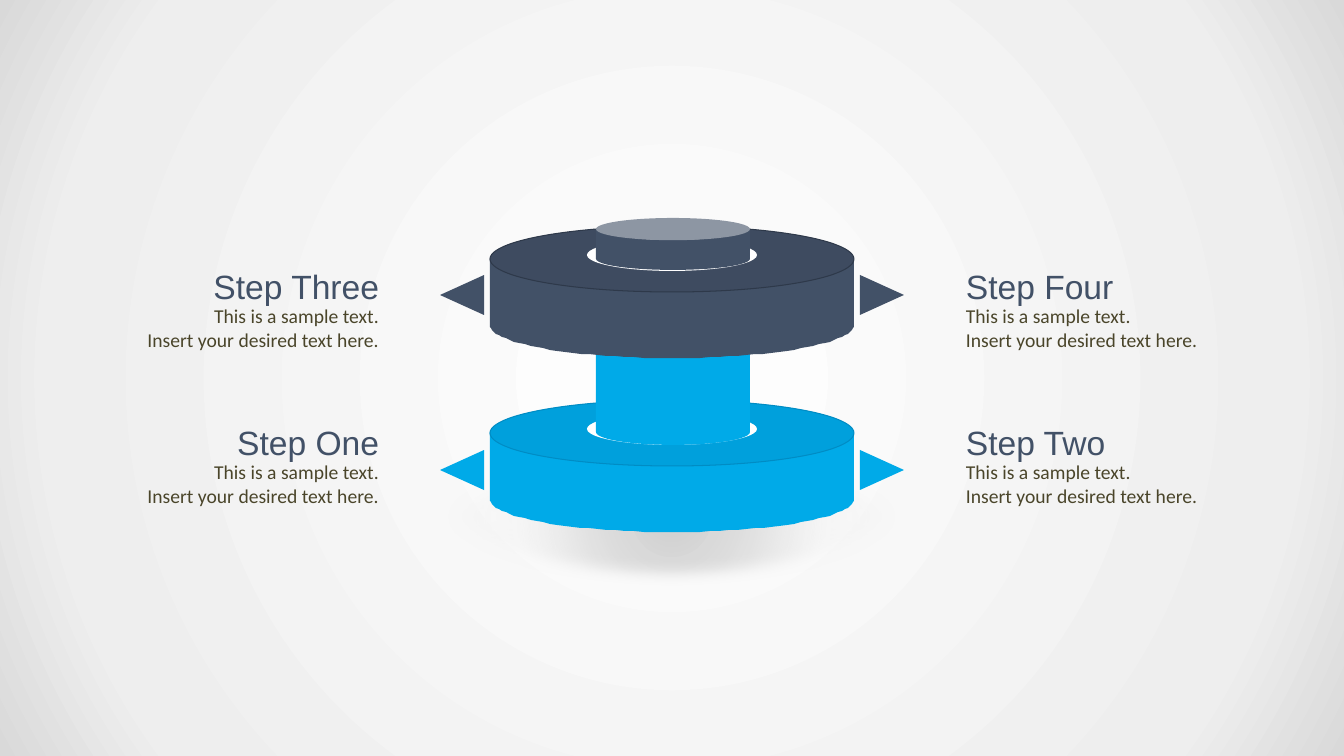
from math import cos, pi, sin

from lxml.etree import SubElement
from pptx import Presentation
from pptx.dml.color import RGBColor
from pptx.enum.shapes import MSO_SHAPE
from pptx.enum.text import PP_ALIGN
from pptx.oxml.ns import qn
from pptx.util import Pt

SCALE = 9071  # EMU per pixel, 100.8 pixels to the inch
WIDTH, HEIGHT = 1344, 756
CENTER_X = 672

NAVY = RGBColor(0x42, 0x51, 0x67)
NAVY_TOP = RGBColor(0x3E, 0x4B, 0x60)
NAVY_RIM = RGBColor(0x2E, 0x39, 0x4A)
BLUE = RGBColor(0x00, 0xAA, 0xE8)
BLUE_TOP = RGBColor(0x00, 0xA0, 0xDC)
BLUE_RIM = RGBColor(0x00, 0x8C, 0xC4)
BROWN = RGBColor(0x4A, 0x45, 0x2A)
WHITE = RGBColor(0xFF, 0xFF, 0xFF)

# Content: title, side, title top
SAMPLE = ["This is a sample text.", "Insert your desired text here."]
STEPS = [
    ("Step One", "left", 417),
    ("Step Two", "right", 417),
    ("Step Three", "left", 261),
    ("Step Four", "right", 261),
]

# Tiers from bottom to top: disc top centre, arrow centre, post (top, height, curve), colours
TIERS = [
    (433, 470, (331, 114, 0.225), BLUE, BLUE_TOP, BLUE_RIM),
    (259, 295, (218, 52, 0.428), NAVY, NAVY_TOP, NAVY_RIM),
]
DISC_RADIUS_X, DISC_RADIUS_Y, DISC_DEPTH = 182, 33, 66
HOLE_RADIUS_X, HOLE_RADIUS_Y, HOLE_RISE = 85, 16, 4
POST_WIDTH = 154
ARROW_WIDTH, ARROW_HEIGHT, ARROW_OFFSET = 40, 44, 210

# Gradient stops: position, colour, opacity (percent)
PAGE_STOPS = [(0, "FFFFFF", 100), (81, "EEEEEE", 100), (100, "D9D9D9", 100)]
SHADOW_STOPS = [(0, "BFBFBF", 74), (35, "D9D9D9", 73),
                (63, "F2F2F2", 51), (100, "F2F2F2", 15)]

deck = Presentation()
deck.slide_width, deck.slide_height = WIDTH * SCALE, HEIGHT * SCALE
page = deck.slides.add_slide(deck.slide_layouts[6])


def px(*lengths):
    return [round(length * SCALE) for length in lengths]


def radial_gradient(properties, stops):
    """Swap the solid fill in properties for a gradient from the centre."""
    solid = properties.find(qn("a:solidFill"))
    gradient = solid.makeelement(qn("a:gradFill"), {"rotWithShape": "1"})
    stop_list = SubElement(gradient, qn("a:gsLst"))
    for position, color, opacity in stops:
        stop = SubElement(stop_list, qn("a:gs"), pos=str(position * 1000))
        tone = SubElement(stop, qn("a:srgbClr"), val=color)
        if opacity < 100:
            SubElement(tone, qn("a:alpha"), val=str(opacity * 1000))
    course = SubElement(gradient, qn("a:path"), {"path": "circle"})
    SubElement(course, qn("a:fillToRect"),
               {side: "50000" for side in "ltrb"})
    properties.replace(solid, gradient)


def paint(shape, fill, line=None):
    shape.shadow.inherit = False
    shape.fill.solid()
    shape.fill.fore_color.rgb = fill
    if line is None:
        shape.line.fill.background()
    else:
        shape.line.color.rgb = line
        shape.line.width = Pt(0.75)
    return shape


def add_preset(kind, left, top, width, height, fill, line=None):
    shape = page.shapes.add_shape(kind, *px(left, top, width, height))
    return paint(shape, fill, line)


def add_ellipse(center_y, radius_x, radius_y, fill, line=None):
    return add_preset(MSO_SHAPE.OVAL, CENTER_X - radius_x, center_y - radius_y,
                      2 * radius_x, 2 * radius_y, fill, line)


def add_disc(center_y, side_color, top_color, rim_color):
    # Side wall, closed by the front half of the lower ellipse
    arc = [(CENTER_X + DISC_RADIUS_X * cos(pi * step / 60),
            center_y + DISC_DEPTH + DISC_RADIUS_Y * sin(pi * step / 60))
           for step in range(61)]
    wall = page.shapes.build_freeform(CENTER_X - DISC_RADIUS_X, center_y, scale=SCALE)
    wall.add_line_segments([(CENTER_X + DISC_RADIUS_X, center_y)] + arc)
    paint(wall.convert_to_shape(), side_color)
    # Top face with its hole
    add_ellipse(center_y, DISC_RADIUS_X, DISC_RADIUS_Y, top_color, rim_color)
    add_ellipse(center_y - HOLE_RISE, HOLE_RADIUS_X, HOLE_RADIUS_Y, WHITE)


def add_text(lines, left, top, width, height, align, font, size, color, wrap):
    box = page.shapes.add_textbox(*px(left, top, width, height))
    box.text_frame.word_wrap = wrap
    for index, line in enumerate(lines):
        para = box.text_frame.paragraphs[0] if index == 0 else box.text_frame.add_paragraph()
        para.alignment = align
        span = para.add_run()
        span.text = line
        span.font.name, span.font.size = font, Pt(size)
        span.font.color.rgb = color


# Background
page.background.fill.solid()
page.background.fill.fore_color.rgb = WHITE
radial_gradient(page.element.find(".//" + qn("p:bgPr")), PAGE_STOPS)

# Floor shadow
floor = add_ellipse(517, 232, 70, WHITE)
radial_gradient(floor.element.spPr, SHADOW_STOPS)
SubElement(floor.element.spPr.find(qn("a:effectLst")), qn("a:softEdge"), rad="127000")

# Discs with their posts and arrows
for disc_y, arrow_y, post, side_color, top_color, rim_color in TIERS:
    add_disc(disc_y, side_color, top_color, rim_color)
    post_top, post_height, curve = post
    can = add_preset(MSO_SHAPE.CAN, CENTER_X + 1 - POST_WIDTH / 2, post_top,
                     POST_WIDTH, post_height, side_color)
    can.adjustments[0] = curve
    for direction, turn in ((-1, 270), (1, 90)):
        arrow = add_preset(MSO_SHAPE.ISOSCELES_TRIANGLE,
                           CENTER_X + direction * ARROW_OFFSET - ARROW_WIDTH / 2,
                           arrow_y - ARROW_HEIGHT / 2,
                           ARROW_WIDTH, ARROW_HEIGHT, side_color)
        arrow.rotation = turn

# Step captions
for title, side, top in STEPS:
    if side == "left":
        align, title_left, body_left = PP_ALIGN.RIGHT, 175, 135
    else:
        align, title_left, body_left = PP_ALIGN.LEFT, 956, 956
    add_text(SAMPLE, body_left, top + 38, 254, 57, align, "Calibri", 14, BROWN, False)
    add_text([title], title_left, top, 214, 50, align, "Arial", 24, NAVY, True)

deck.save("out.pptx")
